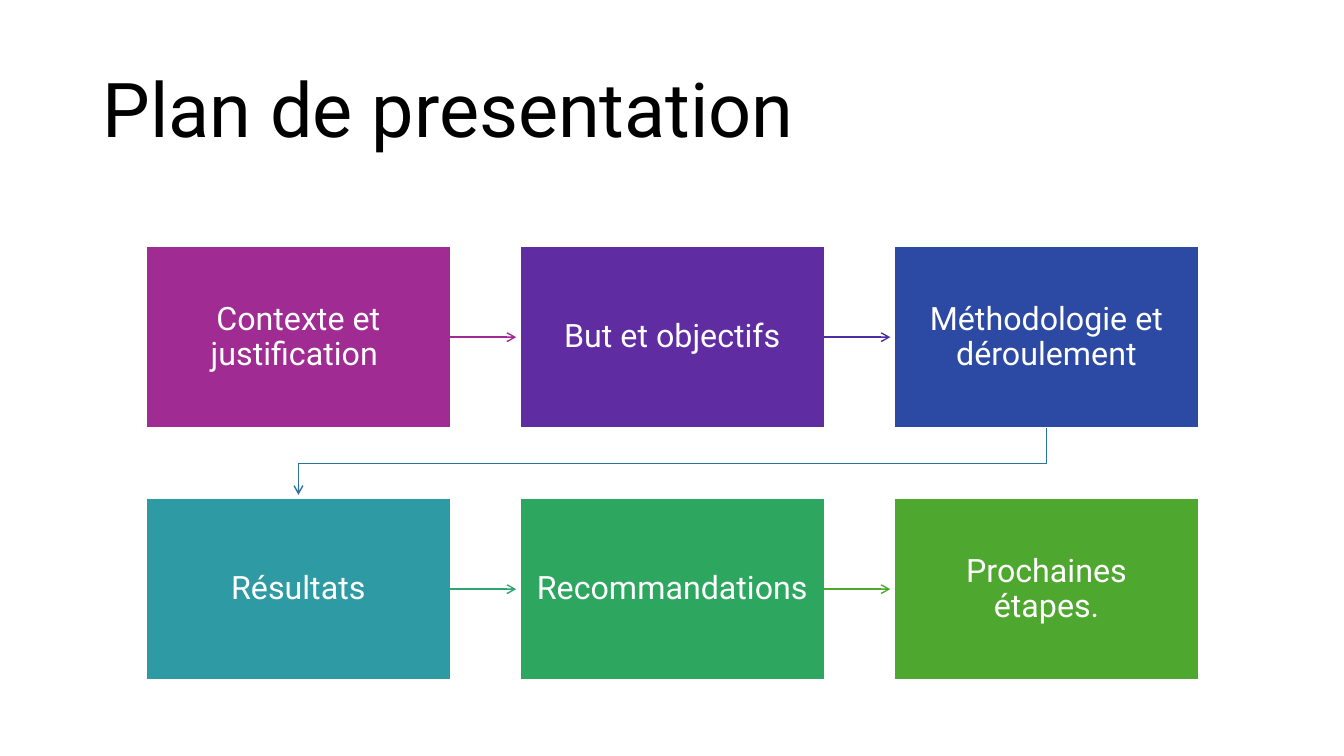
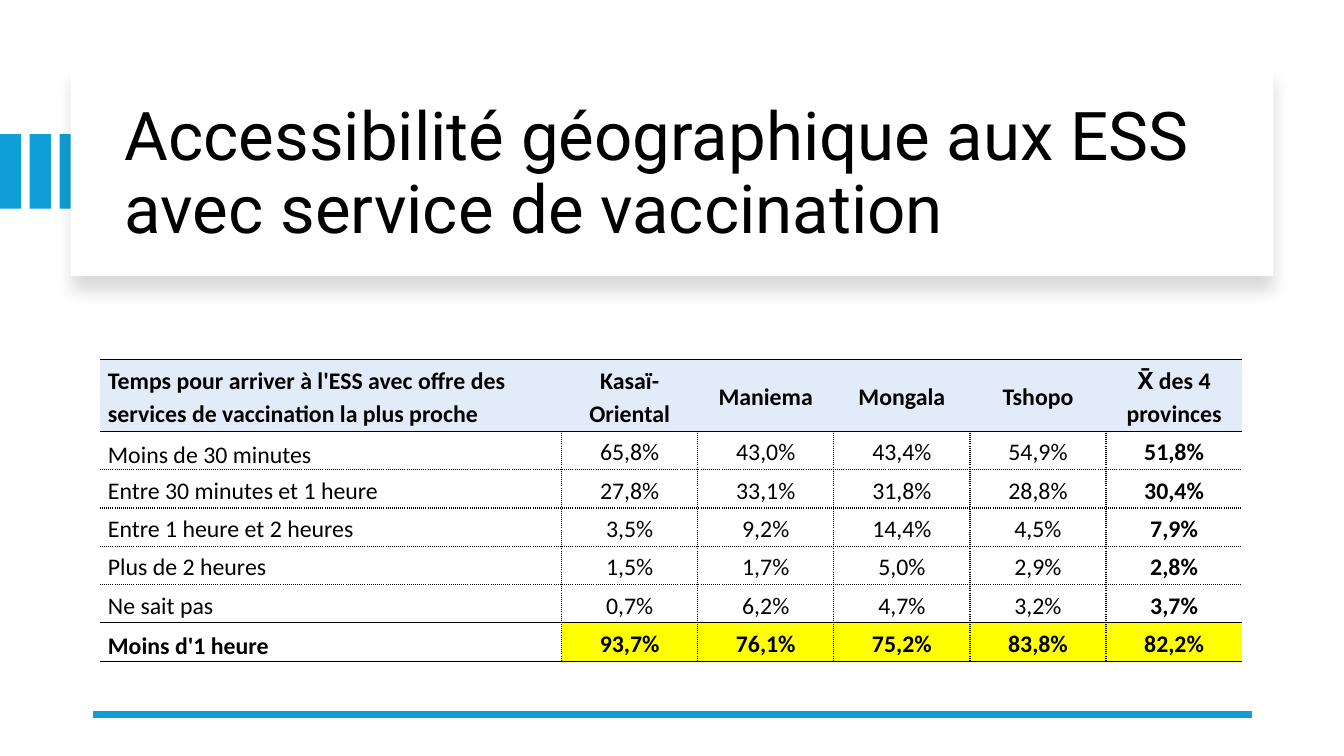
from lxml import etree
from pptx import Presentation
from pptx import util as u
from pptx.dml.color import RGBColor
from pptx.enum import shapes, text
from pptx.oxml import ns

BLACK, WHITE, SKY = "000000", "FFFFFF", "0F9ED5"
HEADER_FILL, HIGHLIGHT = "E2ECF8", "FFFF00"
LEFT, CENTER = text.PP_ALIGN.LEFT, text.PP_ALIGN.CENTER
MIDDLE, BOTTOM = text.MSO_ANCHOR.MIDDLE, text.MSO_ANCHOR.BOTTOM


def color(value):
    return RGBColor.from_string(value)


def assign(target, values):
    for name, value in values.items():
        setattr(target, name, value)


def add_xml(parent, tag, **attributes):
    return etree.SubElement(parent, ns.qn(tag), attributes)


class Slides:
    """Style, deck and current page."""

    title_font, table_font = "Roboto", "Calibri"

    def __init__(self):
        self.deck = Presentation()
        assign(self.deck, {"slide_width": u.Inches(13.33), "slide_height": u.Inches(7.5)})
        self.page = None

    def new_page(self):
        self.page = self.deck.slides.add_slide(self.deck.slide_layouts[6])

    def set_words(self, frame, words, size, font, ink=BLACK, bold=False, align=LEFT,
                  spacing=0.9, after=0):
        para = frame.paragraphs[0]
        assign(para, {"alignment": align, "line_spacing": spacing,
                      "space_after": u.Pt(after)})
        span = para.add_run()
        span.text = words
        assign(span.font, {"size": u.Pt(size), "name": font, "bold": bold})
        span.font.color.rgb = color(ink)

    def title(self, words, left, top, width, height, size):
        box = self.page.shapes.add_textbox(*map(u.Inches, (left, top, width, height)))
        assign(box.text_frame, {"word_wrap": True, "vertical_anchor": MIDDLE})
        self.set_words(box.text_frame, words, size, self.title_font)

    def rectangle(self, left, top, width, height, fill, outline=None):
        box = self.page.shapes.add_shape(
            shapes.MSO_SHAPE.RECTANGLE, *map(u.Inches, (left, top, width, height)))
        box.fill.solid()
        box.fill.fore_color.rgb = color(fill)
        if outline:
            self.stroke(box.line, outline, 1.5)
        else:
            box.line.fill.background()
        box.shadow.inherit = False
        return box

    def card(self, left, top, width, height):
        box = self.rectangle(left, top, width, height, WHITE)
        effects = box._element.spPr.find(ns.qn("a:effectLst"))
        shadow = add_xml(effects, "a:outerShdw", blurRad=str(u.Pt(11)), dist=str(u.Pt(10)),
                         dir="5400000", algn="t", rotWithShape="0")
        add_xml(add_xml(shadow, "a:srgbClr", val=BLACK), "a:alpha", val="15000")

    def step(self, words, left, top, width, height, fill):
        box = self.rectangle(left, top, width, height, fill, WHITE)
        side, end = u.Inches(0.15), u.Inches(0.16)
        assign(box.text_frame, {"word_wrap": True, "vertical_anchor": MIDDLE,
                                "margin_left": side, "margin_right": side,
                                "margin_top": end, "margin_bottom": end})
        self.set_words(box.text_frame, words, 23, self.title_font, WHITE, align=CENTER)

    def stroke(self, line, ink, width, arrow=False):
        line.color.rgb = color(ink)
        line.width = u.Pt(width)
        if arrow:
            add_xml(line._get_or_add_ln(), "a:tailEnd", type="arrow")

    def line(self, start, end, ink, width, arrow=False):
        line = self.page.shapes.add_connector(
            shapes.MSO_CONNECTOR.STRAIGHT, *map(u.Inches, start + end))
        self.stroke(line.line, ink, width, arrow)
        add_xml(line._element.spPr, "a:effectLst")

    def bent_arrow(self, points, ink):
        first, *rest = [tuple(map(u.Inches, point)) for point in points]
        builder = self.page.shapes.build_freeform(*first)
        builder.add_line_segments(rest, close=False)
        arrow = builder.convert_to_shape()
        arrow.fill.background()
        self.stroke(arrow.line, ink, 1, arrow=True)
        arrow.shadow.inherit = False

    def border(self, cell, side, dash):
        properties = cell._tc.get_or_add_tcPr()
        line = add_xml(properties, f"a:ln{side}", w=str(u.Pt(1)))
        if dash is None:
            add_xml(line, "a:noFill")
            return
        add_xml(add_xml(line, "a:solidFill"), "a:srgbClr", val=BLACK)
        add_xml(line, "a:prstDash", val=dash)

    def table(self, rows, left, top, widths, heights):
        frame = self.page.shapes.add_table(
            len(rows), len(widths),
            *map(u.Inches, (left, top, sum(widths), sum(heights))))
        table = frame.table
        assign(table, {"first_row": False, "horz_banding": False})
        for column, width in zip(table.columns, widths):
            column.width = u.Inches(width)
        for row, height in zip(table.rows, heights):
            row.height = u.Inches(height)
        last_row, last_column = len(rows) - 1, len(widths) - 1
        solid_edges = {0, 1, last_row, last_row + 1}
        for r, values in enumerate(rows):
            for c, words in enumerate(values):
                cell = table.cell(r, c)
                anchor = BOTTOM if c == 0 and r in (1, last_row) else MIDDLE
                assign(cell, {"margin_left": u.Inches(0.08), "margin_right": u.Inches(0.08),
                              "margin_top": 0, "margin_bottom": 0, "vertical_anchor": anchor})
                # Borders: solid around header and total, dotted elsewhere
                dashes = {"L": "sysDot" if r and c else None,
                          "R": "sysDot" if r and c < last_column else None,
                          "T": "solid" if r in solid_edges else "sysDot",
                          "B": "solid" if r + 1 in solid_edges else "sysDot"}
                for side, dash in dashes.items():
                    self.border(cell, side, dash)
                fill = HEADER_FILL if r == 0 else HIGHLIGHT if r == last_row and c else None
                if fill:
                    cell.fill.solid()
                    cell.fill.fore_color.rgb = color(fill)
                else:
                    cell.fill.background()
                self.set_words(cell.text_frame, words, 17, self.table_font,
                               bold=r in (0, last_row) or c == last_column,
                               align=CENTER if c else LEFT, spacing=1.15, after=8)


def plan_page(slides):
    slides.new_page()
    slides.title("Plan de presentation", 0.92, 0.4, 11.5, 1.45, 54)

    # Steps on a grid of three columns; the second colour is the arrow leaving the step
    steps = [
        ("Contexte et justification ", "A02B93", "A02B93"),
        ("But et objectifs", "5F2CA1", "4B2CA2"),
        ("Méthodologie et déroulement", "2C49A3", "2C71A4"),
        ("Résultats", "2D9AA4", "2DA573"),
        ("Recommandations ", "2DA65F", "4EA72E"),
        ("Prochaines étapes.", "4EA72E", None),
    ]
    left, top, width, height = 1.45, 2.44, 3.02, 1.81
    for index, (words, fill, arrow) in enumerate(steps):
        row, column = divmod(index, 3)
        x, y = left + 3.71 * column, top + 2.5 * row
        slides.step(words, x, y, width, height, fill)
        if column < 2:
            middle = y + height / 2
            slides.line((x + 3.01, middle), (x + 3.67, middle), arrow, 1, arrow=True)
        elif arrow:
            start, end = x + width / 2, left + width / 2
            slides.bent_arrow([(start, 4.25), (start, 4.6), (end, 4.6), (end, 4.91)], arrow)


def access_page(slides):
    slides.new_page()

    # Title card with side stripes
    for index in range(3):
        slides.rectangle(0.59 * index / 2, 1.33, 0.21, 0.74, SKY)
    slides.card(0.7, 0.67, 11.93, 2.07)
    slides.title("Accessibilité géographique aux ESS avec service de vaccination",
                 1.14, 0.89, 11.13, 1.7, 48)

    # Bottom rule
    slides.line((12.42, 7.09), (0.92, 7.09), SKY, 4.5)

    # Travel times by province
    rows = [
        ("Temps pour arriver à l'ESS avec offre des services de vaccination la plus proche",
         "Kasaï-Oriental", "Maniema", "Mongala", "Tshopo", "X̄ des 4 provinces"),
        ("Moins de 30 minutes", "65,8%", "43,0%", "43,4%", "54,9%", "51,8%"),
        ("Entre 30 minutes et 1 heure", "27,8%", "33,1%", "31,8%", "28,8%", "30,4%"),
        ("Entre 1 heure et 2 heures", "3,5%", "9,2%", "14,4%", "4,5%", "7,9%"),
        ("Plus de 2 heures", "1,5%", "1,7%", "5,0%", "2,9%", "2,8%"),
        ("Ne sait pas", "0,7%", "6,2%", "4,7%", "3,2%", "3,7%"),
        ("Moins d'1 heure", "93,7%", "76,1%", "75,2%", "83,8%", "82,2%"),
    ]
    slides.table(rows, 0.99, 3.57, [4.58] + [1.35] * 5, [0.71] + [0.38] * 6)


def main():
    slides = Slides()
    plan_page(slides)
    access_page(slides)
    slides.deck.save("out.pptx")


if __name__ == "__main__":
    main()
